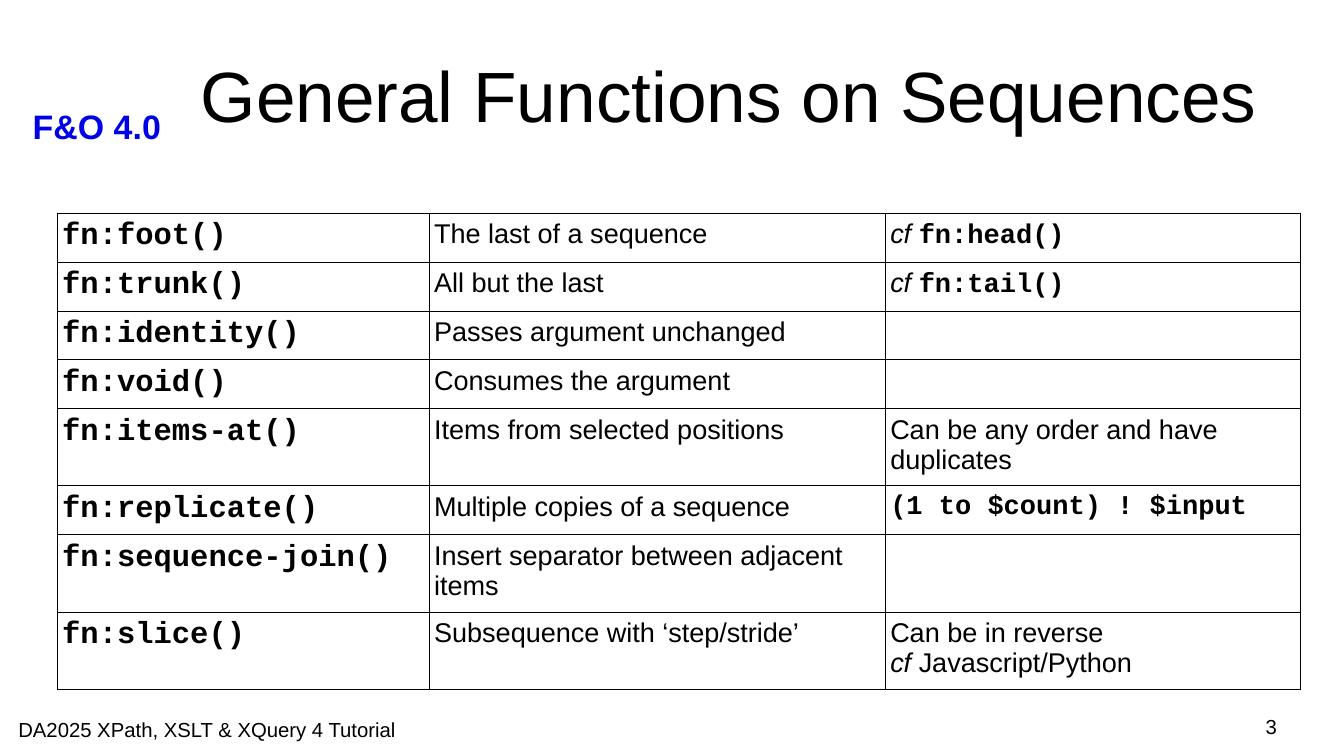
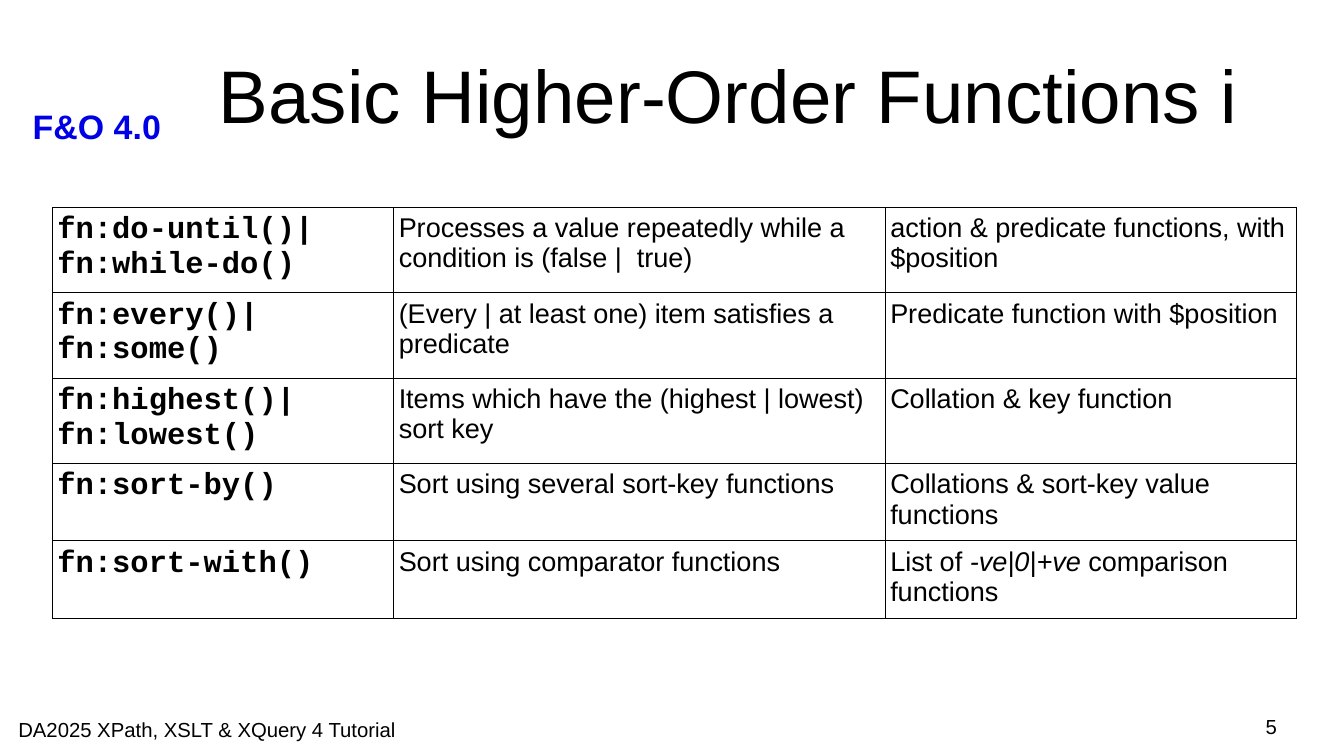
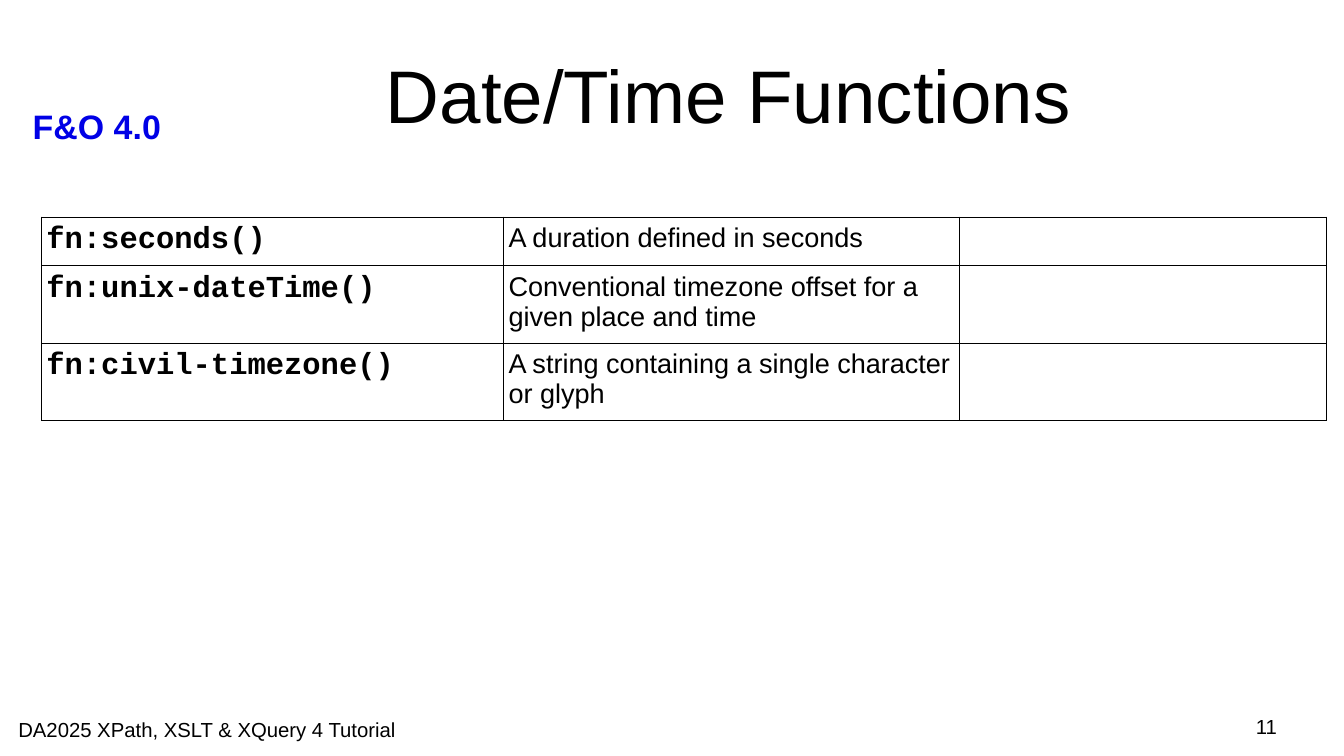
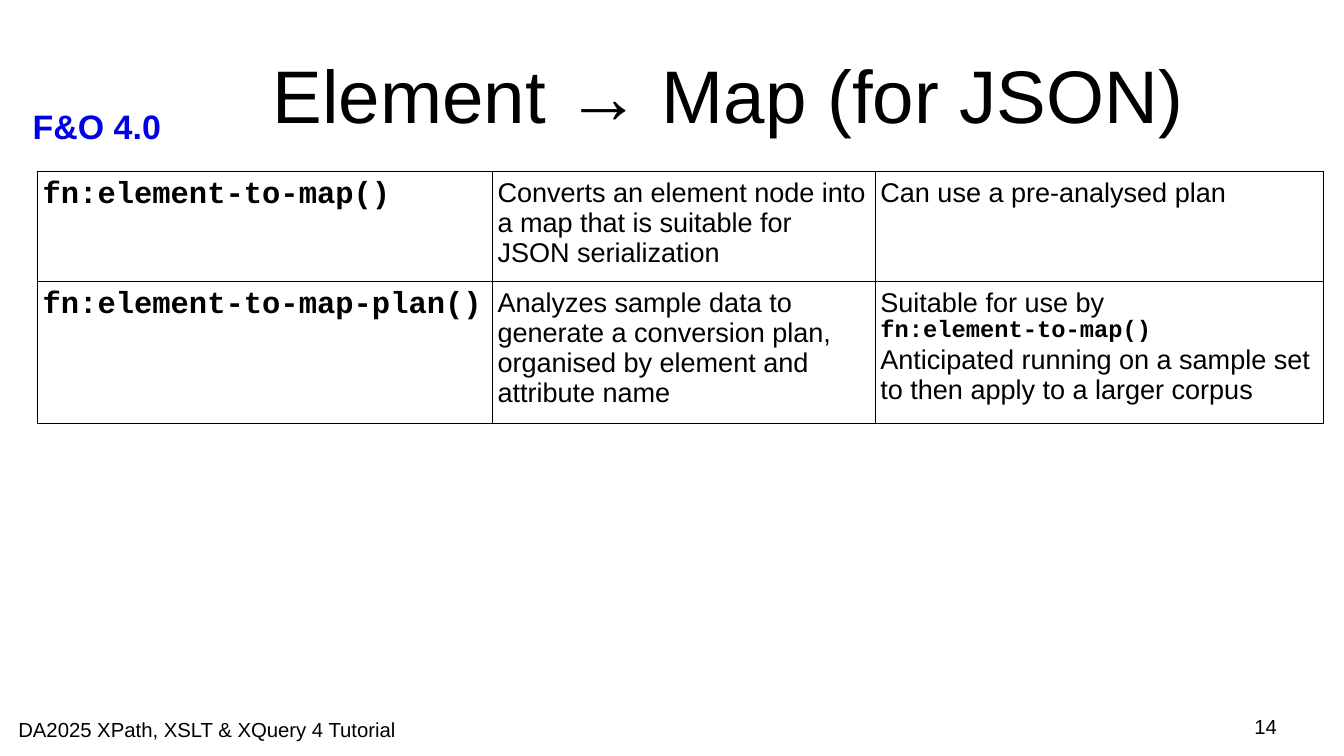
import pptx
import pptx.util
import pptx.dml.color
import pptx.enum.text
import pptx.oxml
import pptx.oxml.ns
import lxml.etree

Inches = pptx.util.Inches
Pt = pptx.util.Pt
ALIGN = pptx.enum.text.PP_ALIGN
ANCHOR = pptx.enum.text.MSO_ANCHOR

# Shared look
BLACK, BLUE = "000000", "0000E6"
SANS, MONO = "Arial", "Courier New"
BADGE = "F&O 4.0"
FOOTER = "DA2025 XPath, XSLT & XQuery 4 Tutorial"
BORDER_WIDTH = 0.57

# Span formats
NAME = dict(font=MONO, size=18, bold=True)
BODY = dict(font=SANS, size=16)
CODE = dict(font=MONO, size=16, bold=True)
SMALL_CODE = dict(font=MONO, size=14, bold=True)
ITALIC = dict(font=SANS, size=16, italic=True)

# Row heights by the lines they hold
ONE, TWO, TWO_NAMES, THREE, FOUR = 0.4, 0.63, 0.7, 0.9, 1.16

# Each row: height, function names, description, remark.
# A cell is a list of paragraphs; a paragraph is a string or a list of (text, format).
SLIDES = [
    dict(title="General Functions on Sequences", title_size=42, number=3,
         left=0.47, top=1.75, columns=[3.05, 3.74, 3.4], rows=[
             (ONE, ["fn:foot()"], ["The last of a sequence"],
              [[("cf ", ITALIC), ("fn:head()", CODE)]]),
             (ONE, ["fn:trunk()"], ["All but the last"],
              [[("cf ", ITALIC), ("fn:tail()", CODE)]]),
             (ONE, ["fn:identity()"], ["Passes argument unchanged"], []),
             (ONE, ["fn:void()"], ["Consumes the argument"], []),
             (TWO, ["fn:items-at()"], ["Items from selected positions"],
              ["Can be any order and have duplicates"]),
             (ONE, ["fn:replicate()"], ["Multiple copies of a sequence"],
              [[("(1 to $count) ! $input", CODE)]]),
             (TWO, ["fn:sequence-join()"],
              ["Insert separator between adjacent items"], []),
             (TWO, ["fn:slice()"], ["Subsequence with ‘step/stride’"],
              ["Can be in reverse",
               [("cf", ITALIC), (" Javascript/Python", BODY)]]),
         ]),
    dict(title="Basic Higher-Order Functions i", title_size=44, number=5,
         left=0.43, top=1.7, columns=[2.8, 4.03, 3.37], rows=[
             (TWO_NAMES, ["fn:do-until()|", "fn:while-do()"],
              ["Processes a value repeatedly while a condition is (false |  true)"],
              ["action & predicate functions, with $position"]),
             (TWO_NAMES, ["fn:every()|", "fn:some()"],
              ["(Every | at least one) item satisfies a predicate"],
              ["Predicate function with $position"]),
             (TWO_NAMES, ["fn:highest()|", "fn:lowest()"],
              ["Items which have the (highest | lowest) sort key"],
              ["Collation & key function"]),
             (TWO, ["fn:sort-by()"], ["Sort using several sort-key functions"],
              ["Collations & sort-key value functions"]),
             (TWO, ["fn:sort-with()"], ["Sort using comparator functions"],
              [[("List of ", BODY), ("-ve|0|+ve", ITALIC),
                (" comparison functions", BODY)]]),
         ]),
    dict(title="Date/Time Functions", title_size=44, number=11,
         left=0.34, top=1.78, columns=[3.79, 3.74, 3.01], rows=[
             (ONE, ["fn:seconds()"], ["A duration defined in seconds"], []),
             (TWO, ["fn:unix-dateTime()"],
              ["Conventional timezone offset for a given place and time"], []),
             (TWO, ["fn:civil-timezone()"],
              ["A string containing a single character or glyph"], []),
         ]),
    dict(title="Element → Map (for JSON)", title_size=44, number=14,
         left=0.31, top=1.41, columns=[3.73, 3.14, 3.67], rows=[
             (THREE, ["fn:element-to-map()"],
              ["Converts an element node into a map that is suitable for JSON serialization"],
              ["Can use a pre-analysed plan"]),
             (FOUR, ["fn:element-to-map-plan()"],
              ["Analyzes sample data to generate a conversion plan, "
               "organised by element and attribute name"],
              ["Suitable for use by", [("fn:element-to-map()", SMALL_CODE)],
               "Anticipated running on a sample set to then apply to a larger corpus"]),
         ]),
]


def color(value):
    return pptx.dml.color.RGBColor.from_string(value)


def add_span(para, text, font=SANS, size=16, bold=False, italic=False, ink=BLACK):
    span = para.add_run()
    span.text = text
    span.font.name, span.font.size = font, Pt(size)
    span.font.bold, span.font.italic = bold, italic
    span.font.color.rgb = color(ink)


def add_text(slide, text, left, top, width, height, align=ALIGN.LEFT,
             anchor=ANCHOR.TOP, margins=(0, 0), **style):
    box = slide.shapes.add_textbox(*map(Inches, (left, top, width, height)))
    frame = box.text_frame
    frame.word_wrap = True
    frame.vertical_anchor = anchor
    frame.margin_left = frame.margin_right = Inches(margins[0])
    frame.margin_top = frame.margin_bottom = Inches(margins[1])
    para = frame.paragraphs[0]
    para.alignment = align
    add_span(para, text, **style)


def set_borders(cell):
    properties = cell._tc.get_or_add_tcPr()
    for index, side in enumerate(("lnL", "lnR", "lnT", "lnB")):
        line = lxml.etree.Element(pptx.oxml.ns.qn("a:" + side), w=str(Pt(BORDER_WIDTH)))
        fill = lxml.etree.SubElement(line, pptx.oxml.ns.qn("a:solidFill"))
        lxml.etree.SubElement(fill, pptx.oxml.ns.qn("a:srgbClr"), val=BLACK)
        properties.insert(index, line)


def fill_cell(cell, paragraphs, style):
    cell.margin_left = cell.margin_right = Inches(0.04)
    cell.margin_top = cell.margin_bottom = Inches(0.05)
    cell.fill.background()
    set_borders(cell)
    frame = cell.text_frame
    for index, content in enumerate(paragraphs):
        para = frame.add_paragraph() if index else frame.paragraphs[0]
        spans = [(content, style)] if isinstance(content, str) else content
        for text, span_style in spans:
            add_span(para, text, **span_style)


def add_function_table(slide, left, top, columns, rows):
    height = sum(row[0] for row in rows)
    table = slide.shapes.add_table(
        len(rows), len(columns), Inches(left), Inches(top),
        Inches(sum(columns)), Inches(height)).table
    table.first_row = table.horz_banding = False
    for column, width in zip(table.columns, columns):
        column.width = Inches(width)
    for row, (row_height, *cells) in zip(table.rows, rows):
        row.height = Inches(row_height)
        for cell, paragraphs, style in zip(row.cells, cells, (NAME, BODY, BODY)):
            fill_cell(cell, paragraphs, style)


def add_page(deck, title, title_size, number, **table):
    slide = deck.slides.add_slide(deck.slide_layouts[6])
    # Badge and title
    add_text(slide, BADGE, 0.17, 0.82, 1.38, 0.41, margins=(0.1, 0.05),
             size=20, bold=True, ink=BLUE)
    add_text(slide, title, 1.48, 0.25, 8.99, 1.04, align=ALIGN.CENTER,
             anchor=ANCHOR.MIDDLE, size=title_size)
    add_function_table(slide, **table)
    # Footer and page number
    add_text(slide, FOOTER, 0.15, 5.88, 3.49, 0.19, size=12)
    add_text(slide, str(number), 7.9, 5.86, 2.57, 0.24, align=ALIGN.RIGHT, size=12)


def main():
    deck = pptx.Presentation()
    deck.slide_width, deck.slide_height = Inches(11.02), Inches(6.2)
    for page in SLIDES:
        add_page(deck, **page)
    deck.save("out.pptx")


if __name__ == "__main__":
    main()
